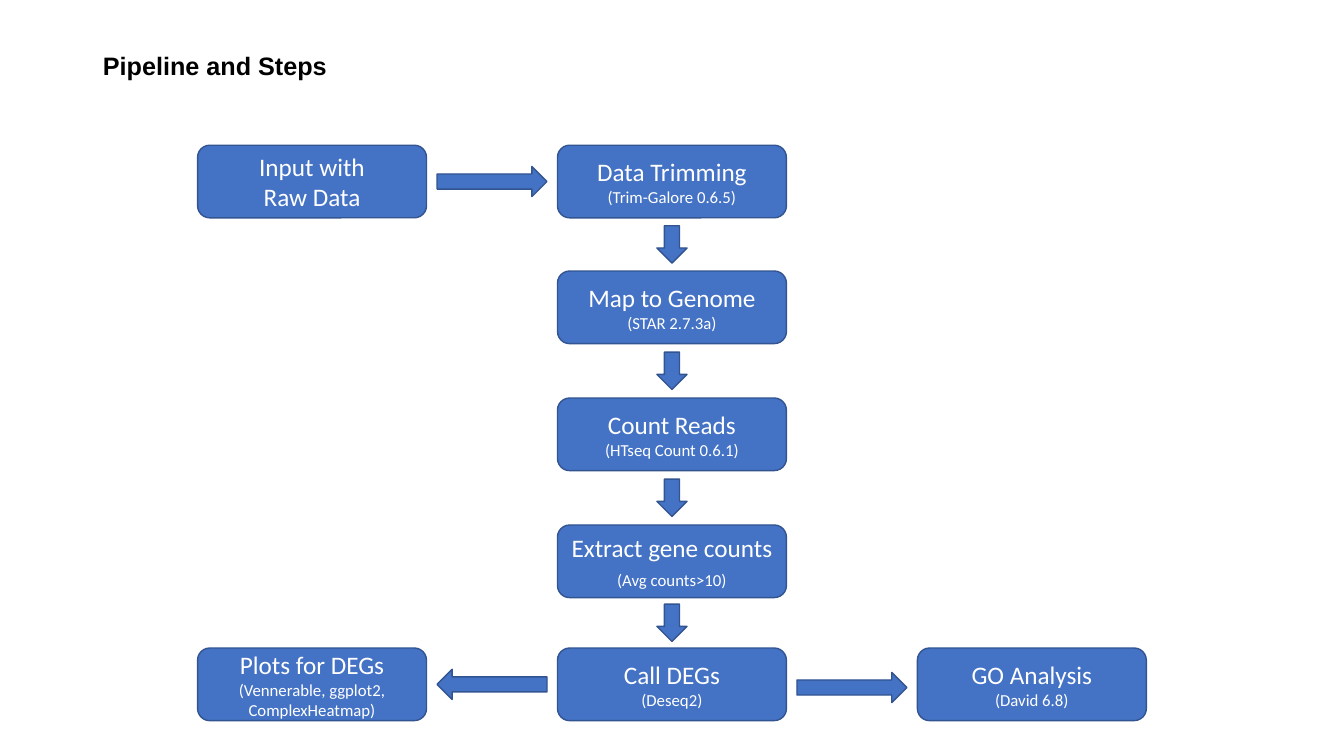
from typing import Any, NamedTuple

from pptx import Presentation
from pptx.dml.color import RGBColor
from pptx.enum.shapes import MSO_SHAPE
from pptx.enum.text import MSO_ANCHOR, PP_ALIGN
from pptx.util import Cm, Pt

BOX = MSO_SHAPE.ROUNDED_RECTANGLE
DOWN = MSO_SHAPE.DOWN_ARROW
RIGHT = MSO_SHAPE.RIGHT_ARROW
MIDDLE = MSO_ANCHOR.MIDDLE
CENTER, LEFT = PP_ALIGN.CENTER, PP_ALIGN.LEFT

BLUE = RGBColor(0x44, 0x72, 0xC4)
DARK_BLUE = RGBColor(0x32, 0x54, 0x91)
WHITE = RGBColor(0xFF, 0xFF, 0xFF)
BLACK = RGBColor(0, 0, 0)

# All lengths below are in centimetres.
BOX_W, BOX_H = 5.77, 1.83
COLUMNS = [4.98 + 9.07 * i for i in range(3)]
ROWS = [3.66, 6.83, 10.03, 13.23, 16.33]
ARROW_THICKNESS = 0.76
DOWN_LENGTH, SIDE_LENGTH = 0.94, 2.77

HEADING = {"name": "Calibri", "size": Pt(18)}
DETAIL = {"name": "Calibri", "size": Pt(12)}
TITLE = {"name": "Arial", "size": Pt(18), "bold": True}


class Step(NamedTuple):
    """One box of the pipeline, with its grid cell."""
    column: int
    row: int
    heading: str
    detail: str
    detail_format: dict[str, Any] = DETAIL
    detail_gap: float = 0


class SideArrow(NamedTuple):
    """A horizontal arrow in the gap right of a column."""
    column: int
    row: int
    rotation: int = 0
    drop: float = 0


STEPS = [
    Step(0, 0, "Input with", "Raw Data", HEADING),
    Step(1, 0, "Data Trimming", "(Trim-Galore 0.6.5)"),
    Step(1, 1, "Map to Genome", "(STAR 2.7.3a)"),
    Step(1, 2, "Count Reads", "(HTseq Count 0.6.1)"),
    Step(1, 3, "Extract gene counts", "(Avg counts>10)", detail_gap=5),
    Step(1, 4, "Call DEGs", "(Deseq2)"),
    Step(0, 4, "Plots for DEGs", "(Vennerable, ggplot2, ComplexHeatmap)"),
    Step(2, 4, "GO Analysis", "(David 6.8)"),
]
SIDE_ARROWS = [
    SideArrow(0, 0),
    SideArrow(0, 4, rotation=180),
    SideArrow(1, 4, drop=0.08),
]


def add_run(p: Any, text: str, formats: dict[str, Any], color: RGBColor) -> None:
    """Add formatted text to a paragraph."""
    r = p.add_run()
    r.text = text
    for name, value in formats.items():
        setattr(r.font, name, value)
    r.font.color.rgb = color


def add_blue_shape(s: Any, kind: Any, left: float, top: float,
                   width: float, height: float) -> Any:
    """Add a blue outlined shape without shadow."""
    sp = s.shapes.add_shape(kind, Cm(left), Cm(top), Cm(width), Cm(height))
    sp.shadow.inherit = False
    sp.fill.solid()
    sp.fill.fore_color.rgb = BLUE
    sp.line.color.rgb = DARK_BLUE
    sp.line.width = Pt(1)
    return sp


def add_step(s: Any, step: Step) -> None:
    """Draw a step box with its heading and detail."""
    sp = add_blue_shape(s, BOX, COLUMNS[step.column], ROWS[step.row], BOX_W, BOX_H)
    tf = sp.text_frame
    tf.word_wrap = True
    tf.vertical_anchor = MIDDLE
    heading, detail = tf.paragraphs[0], tf.add_paragraph()
    heading.alignment = detail.alignment = CENTER
    add_run(heading, step.heading, HEADING, WHITE)
    add_run(detail, step.detail, step.detail_format, WHITE)
    detail.space_before = Pt(step.detail_gap)


def add_down_arrow(s: Any, upper: float, lower: float) -> None:
    """Centre a down arrow between two rows of the middle column."""
    left = COLUMNS[1] + (BOX_W - ARROW_THICKNESS) / 2
    top = (upper + BOX_H + lower - DOWN_LENGTH) / 2
    add_blue_shape(s, DOWN, left, top, ARROW_THICKNESS, DOWN_LENGTH)


def add_side_arrow(s: Any, arrow: SideArrow) -> None:
    """Centre a horizontal arrow between two columns."""
    left = (COLUMNS[arrow.column] + BOX_W + COLUMNS[arrow.column + 1] - SIDE_LENGTH) / 2
    top = ROWS[arrow.row] + (BOX_H - ARROW_THICKNESS) / 2 + arrow.drop
    sp = add_blue_shape(s, RIGHT, left, top, SIDE_LENGTH, ARROW_THICKNESS)
    sp.rotation = arrow.rotation


def add_title(s: Any, text: str) -> None:
    """Place and fill the title placeholder."""
    sp = s.shapes.title
    place = {"left": 2.34, "top": 1.02, "width": 29.21, "height": 1.37}
    for name, value in place.items():
        setattr(sp, name, Cm(value))
    tf = sp.text_frame
    tf.vertical_anchor = MIDDLE
    p = tf.paragraphs[0]
    p.alignment = LEFT
    p.line_spacing = 0.9
    add_run(p, text, TITLE, BLACK)


prs = Presentation()
prs.slide_width, prs.slide_height = Cm(33.87), Cm(19.05)
s = prs.slides.add_slide(prs.slide_layouts[5])
add_title(s, "Pipeline and Steps")
for step in STEPS:
    add_step(s, step)
for upper, lower in zip(ROWS, ROWS[1:]):
    add_down_arrow(s, upper, lower)
for arrow in SIDE_ARROWS:
    add_side_arrow(s, arrow)
prs.save("out.pptx")
